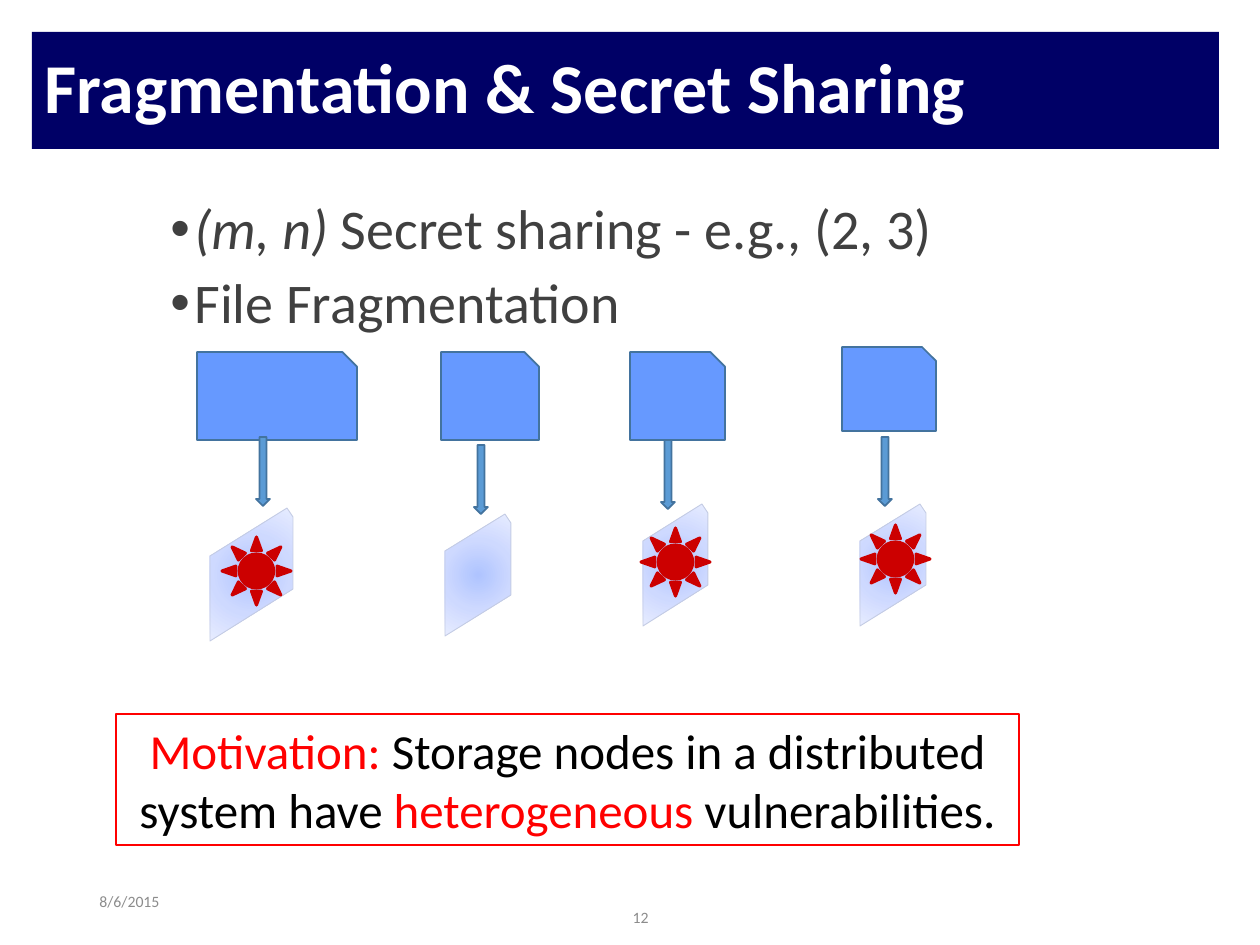
import pptx
import pptx.util
import pptx.dml.color
import pptx.enum.shapes
import pptx.enum.text
import pptx.oxml
import pptx.oxml.ns
from lxml import etree

RGB = pptx.dml.color.RGBColor
SHAPE = pptx.enum.shapes.MSO_SHAPE
ALIGN = pptx.enum.text.PP_ALIGN
ANCHOR = pptx.enum.text.MSO_ANCHOR
qn = pptx.oxml.ns.qn

NAVY = RGB(0x00, 0x00, 0x66)
WHITE = RGB(0xFF, 0xFF, 0xFF)
BLACK = RGB(0x00, 0x00, 0x00)
DARK = RGB(0x40, 0x40, 0x40)
GREY = RGB(0x8C, 0x8C, 0x8C)
RED = RGB(0xFF, 0x00, 0x00)
CRIMSON = RGB(0xCC, 0x00, 0x00)
FILE_BLUE = RGB(0x66, 0x99, 0xFF)
ARROW_BLUE = RGB(0x5B, 0x9B, 0xD5)
EDGE = RGB(0x43, 0x73, 0x9E)
SHEET_EDGE = RGB(0xC4, 0xCC, 0xE4)
SHEET_STOPS = ((0, "AFC4FF"), (50, "CED9FF"), (100, "E7ECFF"))
FONT = "Calibri"
PX = 914400 / 126


def px(n):
    """Turn pixels into EMU."""
    return pptx.util.Emu(round(n * PX))


def add_run(p, text, size, color, bold=False, italic=False):
    """Add one formatted run to a paragraph."""
    r = p.add_run()
    r.text = text
    r.font.name, r.font.size = FONT, pptx.util.Pt(size)
    r.font.color.rgb = color
    r.font.bold, r.font.italic = bold, italic


def add_preset(s, kind, box, fill, line, width=1):
    """Add a filled and outlined preset shape."""
    sp = s.shapes.add_shape(kind, *map(px, box))
    sp.shadow.inherit = False
    sp.fill.solid()
    sp.fill.fore_color.rgb = fill
    sp.line.color.rgb = line
    sp.line.width = pptx.util.Pt(width)
    return sp


def add_textbox(s, box, anchor=ANCHOR.TOP):
    """Add a wrapping text box and return its text frame."""
    tf = s.shapes.add_textbox(*map(px, box)).text_frame
    tf.word_wrap = True
    tf.vertical_anchor = anchor
    return tf


def add_title(s, box):
    """Place the title band."""
    sp = s.shapes.title
    sp.left, sp.top, sp.width, sp.height = map(px, box)
    sp.fill.solid()
    sp.fill.fore_color.rgb = NAVY
    tf = sp.text_frame
    tf.vertical_anchor = ANCHOR.MIDDLE
    p = tf.paragraphs[0]
    p.alignment, p.line_spacing = ALIGN.LEFT, 0.9
    add_run(p, "Fragmentation & Secret Sharing", 40, WHITE, bold=True)


def add_bullets(s, box):
    """Place the bulleted topics."""
    tf = add_textbox(s, box)
    topics = ((("(m, n) ", True), ("Secret sharing - e.g., (2, 3)", False)),
              (("File Fragmentation", False),))
    for i, parts in enumerate(topics):
        p = tf.add_paragraph() if i else tf.paragraphs[0]
        p.line_spacing = 0.9
        p.space_before = pptx.util.Pt(7.5 if i else 0)
        pPr = p._p.get_or_add_pPr()
        pPr.set("marL", str(px(24)))
        pPr.set("indent", str(-px(24)))
        etree.SubElement(pPr, qn("a:buFont")).set("typeface", "Arial")
        etree.SubElement(pPr, qn("a:buChar")).set("char", "•")
        for text, italic in parts:
            add_run(p, text, 32, DARK, italic=italic)


def add_sheet(s, box):
    """Draw a slanted storage sheet with a radial gradient."""
    x, y, w, h = box
    points = [(0, h - 85), (w - 6, 0), (w, 9), (w, 81), (0, h)]
    (x0, y0), *rest = [(x + dx, y + dy) for dx, dy in points]
    fb = s.shapes.build_freeform(x0, y0, scale=PX)
    fb.add_line_segments(rest, close=True)
    sp = fb.convert_to_shape()
    sp.shadow.inherit = False
    sp.line.color.rgb = SHEET_EDGE
    sp.line.width = pptx.util.Pt(0.5)
    stops = "".join(f'<a:gs pos="{pos * 1000}"><a:srgbClr val="{c}"/></a:gs>'
                    for pos, c in SHEET_STOPS)
    grad = pptx.oxml.parse_xml(
        f'<a:gradFill {pptx.oxml.ns.nsdecls("a")}><a:gsLst>{stops}</a:gsLst>'
        '<a:path path="circle"><a:fillToRect l="50000" t="50000" r="50000" b="50000"/>'
        '</a:path></a:gradFill>')
    sp._element.spPr.find(qn("a:custGeom")).addnext(grad)


def add_fragment(s, box, arrow, sheet, sun=None):
    """Place a file fragment, its arrow, storage sheet and optional sun."""
    x, y, w, h = box
    add_preset(s, SHAPE.SNIP_1_RECTANGLE, box, FILE_BLUE, EDGE)
    add_sheet(s, (x + sheet[0], y + sheet[1], *sheet[2:]))
    add_preset(s, SHAPE.DOWN_ARROW, (x + arrow[0], y + arrow[1], 14, 69), ARROW_BLUE, EDGE)
    if sun:
        add_preset(s, SHAPE.SUN, (x + sun[0], y + sun[1], 69, 68), CRIMSON, CRIMSON, 1.75)


def add_motivation(s, box):
    """Place the framed motivation statement."""
    sp = add_preset(s, SHAPE.RECTANGLE, box, WHITE, RED)
    tf = sp.text_frame
    tf.word_wrap = True
    tf.vertical_anchor = ANCHOR.TOP
    p = tf.paragraphs[0]
    p.alignment = ALIGN.CENTER
    for text, color in (("Motivation: ", RED),
                        ("Storage nodes in a distributed system have ", BLACK),
                        ("heterogeneous", RED), (" vulnerabilities.", BLACK)):
        add_run(p, text, 28, color)


def add_footer(s, box, text, align):
    """Place one small footer text."""
    p = add_textbox(s, box, ANCHOR.MIDDLE).paragraphs[0]
    p.alignment = align
    add_run(p, text, 9, GREY)


def main():
    """Build and save the slide."""
    prs = pptx.Presentation()
    prs.slide_width, prs.slide_height = px(1260), px(945)
    s = prs.slides.add_slide(prs.slide_layouts[5])
    add_title(s, (32, 32, 1187, 117))
    add_bullets(s, (158, 195, 924, 665))
    add_footer(s, (87, 876, 284, 50), "8/6/2015", ALIGN.LEFT)
    add_footer(s, (367, 892, 294, 50), "12", ALIGN.RIGHT)
    fragments = (
        ((197, 352, 160, 88), (59, 85), (13, 156, 83, 133), (25, 185)),
        ((441, 352, 98, 88), (33, 93), (4, 162, 66, 122), None),
        ((630, 352, 95, 88), (31, 88), (13, 152, 65, 122), (11, 176)),
        ((842, 347, 94, 84), (36, 90), (18, 157, 66, 122), (19, 178)),
    )
    for fragment in fragments:
        add_fragment(s, *fragment)
    add_motivation(s, (116, 714, 903, 131))
    prs.save("out.pptx")


if __name__ == "__main__":
    main()
